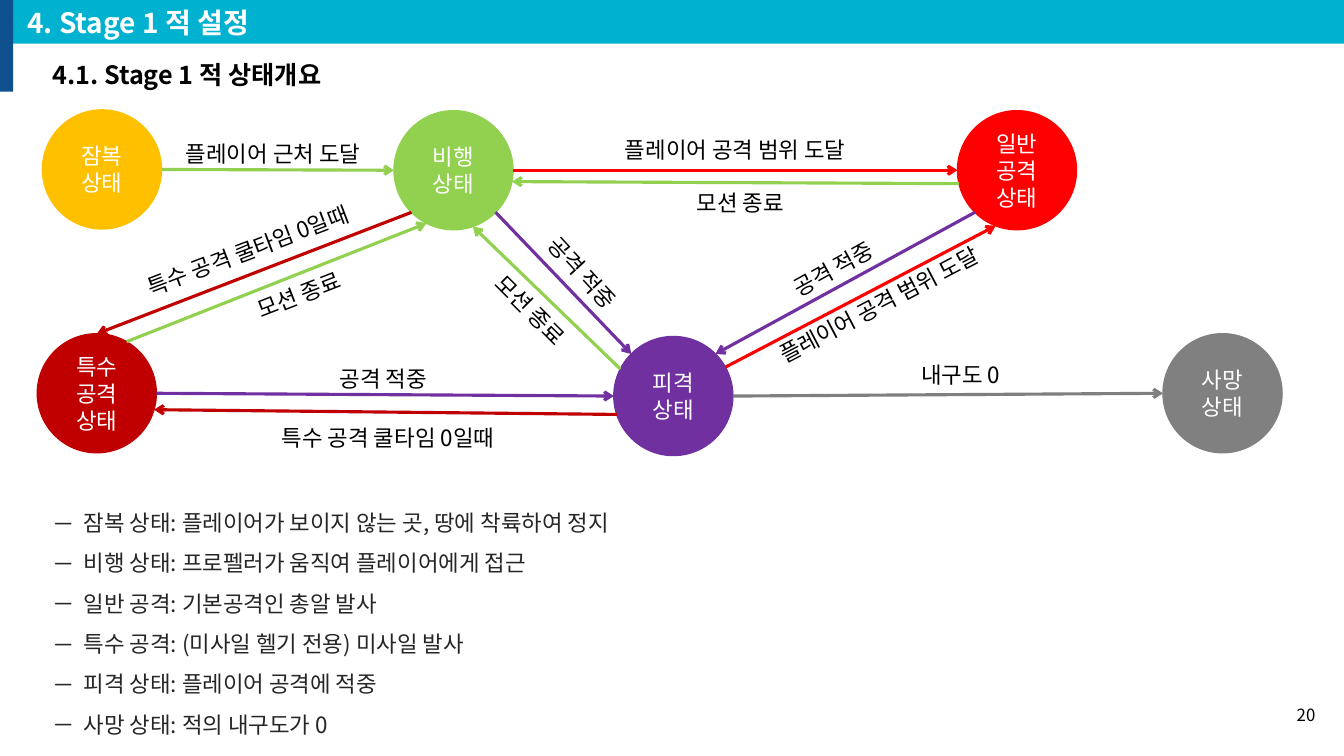
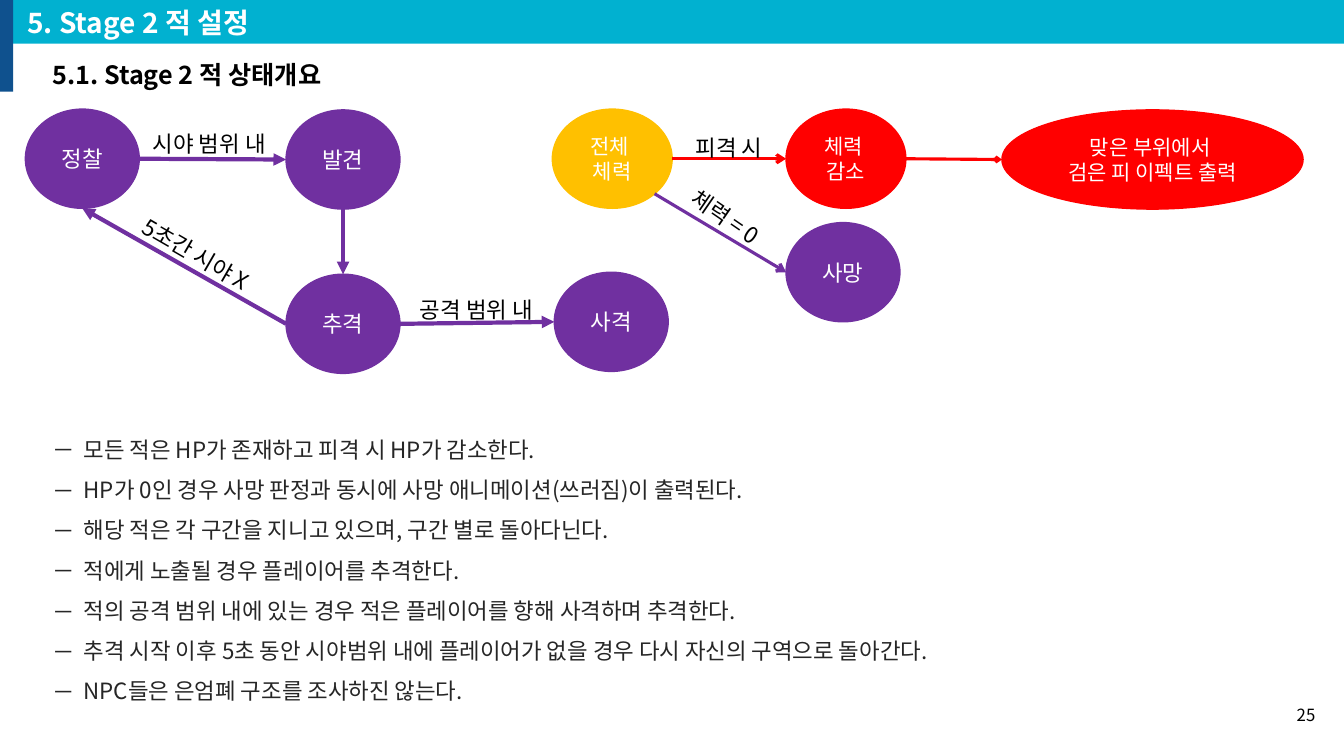
from math import cos, radians, sin

from lxml.etree import SubElement
from pptx import Presentation
from pptx.dml.color import RGBColor
from pptx.enum.shapes import MSO_CONNECTOR, MSO_SHAPE
from pptx.enum.text import MSO_ANCHOR, MSO_AUTO_SIZE, PP_ALIGN
from pptx.oxml.ns import qn
from pptx.util import Cm, Pt

FONT = "Noto Sans CJK KR"
COLORS = {
    "accent": "0F518E", "band": "01B1D0", "white": "FFFFFF", "black": "000000",
    "note": "262626", "yellow": "FFC000", "green": "92D050", "red": "FF0000",
    "crimson": "C00000", "purple": "7030A0", "gray": "808080", "gray line": "7F7F7F",
}
# Arrowhead type, arrowhead size, line width in points
ARROWS = {
    "open": ("arrow", "med", 2.25),
    "small": ("arrow", "sm", 2.25),
    "solid": ("triangle", "med", 3),
}

# Nodes: key: (left, top, width, height, colour, font size, paragraphs), in cm
# Edges: (from, angle, to, angle, colour, arrow), angles counter-clockwise from the right
# Labels: (text, left, top, width, rotation)
SLIDES = [
    {
        "title": "4. Stage 1 적 설정",
        "subtitle": "4.1. Stage 1 적 상태개요",
        "page": "20",
        "nodes": {
            "hide": (1.07, 2.77, 3, 3, "yellow", 16, ["잠복", "상태"]),
            "fly": (9.93, 2.79, 3, 3, "green", 16, ["비행", "상태"]),
            "special": (0.94, 8.41, 3, 3, "crimson", 16, ["특수 공격 상태"]),
            "dead": (29.31, 8.41, 3, 3, "gray", 16, ["사망", "상태"]),
            "attack": (24.13, 2.79, 3, 3, "red", 16, ["일반 공격", "상태"]),
            "hit": (15.47, 8.48, 3, 3, "purple", 16, ["피격", "상태"]),
        },
        "edges": [
            ("hide", 0, "fly", 180, "green", "open"),
            ("fly", 315, "hit", 135, "purple", "open"),
            ("fly", 0, "attack", 180, "red", "open"),
            ("fly", 225, "special", 90, "crimson", "open"),
            ("hit", 0, "dead", 180, "gray line", "open"),
            ("hit", 153, "fly", 289, "green", "open"),
            ("special", 60, "fly", 243, "green", "open"),
            ("attack", 193, "fly", 349, "green", "open"),
            ("attack", 225, "hit", 45, "purple", "open"),
            ("special", 0, "hit", 180, "purple", "open"),
            ("hit", 198, "special", 344, "crimson", "open"),
            ("hit", 29, "attack", 249, "red", "open"),
        ],
        "labels": [
            ("플레이어 근처 도달", 4.14, 3.4, 5.49, 0),
            ("공격 적중", 11.48, 6.4, 6.4, 47.4),
            ("플레이어 공격 범위 도달", 12.75, 3.3, 11.56, 0),
            ("특수 공격 쿨타임 0일때", 2.01, 5.84, 8.48, 339.2),
            ("내구도 0", 21.84, 8.97, 4.75, 0),
            ("모션 종료", 11, 7.34, 4.75, 45),
            ("모션 종료", 3.05, 6.96, 8.99, 338.7),
            ("모션 종료", 13.11, 4.65, 11.1, 0),
            ("공격 적중", 17.15, 6.3, 7.7, 331),
            ("공격 적중", 3.86, 9.07, 11.61, 0),
            ("특수 공격 쿨타임 0일때", 3.86, 10.57, 11.84, 0),
            ("플레이어 공격 범위 도달", 18.67, 7.21, 6.96, 332.3),
        ],
        "notes_box": (1.07, 12.37, 32.08, 6.27),
        "notes": [
            "잠복 상태: 플레이어가 보이지 않는 곳, 땅에 착륙하여 정지",
            "비행 상태: 프로펠러가 움직여 플레이어에게 접근",
            "일반 공격: 기본공격인 총알 발사",
            "특수 공격: (미사일 헬기 전용) 미사일 발사",
            "피격 상태: 플레이어 공격에 적중",
            "사망 상태: 적의 내구도가 0",
        ],
    },
    {
        "title": "5. Stage 2 적 설정",
        "subtitle": "5.1. Stage 2 적 상태개요",
        "page": "25",
        "nodes": {
            "health": (13.92, 2.75, 3.02, 2.5, "yellow", 15, ["전체 ", "체력"]),
            "dead": (19.81, 5.61, 2.87, 2.5, "purple", 16, ["사망"]),
            "damage": (19.81, 2.75, 3.02, 2.5, "red", 15, ["체력 ", "감소"]),
            "blood": (25.25, 2.77, 7.59, 2.5, "red", 15,
                      ["맞은 부위에서 ", "검은 피 이펙트 출력"]),
            "patrol": (0.64, 2.75, 2.87, 2.5, "purple", 16, ["정찰"]),
            "spot": (7.21, 2.77, 2.87, 2.5, "purple", 16, ["발견"]),
            "chase": (7.21, 6.91, 2.87, 2.5, "purple", 16, ["추격"]),
            "shoot": (13.97, 6.86, 2.87, 2.5, "purple", 16, ["사격"]),
        },
        "edges": [
            ("health", 0, "damage", 180, "red", "open"),
            ("health", 315, "dead", 180, "purple", "open"),
            ("damage", 0, "blood", 180, "red", "small"),
            ("patrol", 0, "spot", 180, "purple", "solid"),
            ("spot", 270, "chase", 90, "purple", "solid"),
            ("chase", 0, "shoot", 180, "purple", "solid"),
            ("chase", 180, "patrol", 270, "purple", "solid"),
        ],
        "labels": [
            ("체력 = 0", 16.43, 5, 3.71, 34.5),
            ("피격 시", 16.92, 3.25, 2.9, 0),
            ("시야 범위 내", 3.33, 3.15, 3.89, 0),
            ("공격 범위 내", 10.06, 7.34, 3.89, 0),
            ("5초간 시야 X", 2.84, 5.94, 4.19, 30),
        ],
        "notes_box": (1.07, 10.52, 31.52, 7.32),
        "notes": [
            "모든 적은 HP가 존재하고 피격 시 HP가 감소한다.",
            "HP가 0인 경우 사망 판정과 동시에 사망 애니메이션(쓰러짐)이 출력된다.",
            "해당 적은 각 구간을 지니고 있으며, 구간 별로 돌아다닌다.",
            "적에게 노출될 경우 플레이어를 추격한다.",
            "적의 공격 범위 내에 있는 경우 적은 플레이어를 향해 사격하며 추격한다.",
            "추격 시작 이후 5초 동안 시야범위 내에 플레이어가 없을 경우 다시 자신의 구역으로 돌아간다.",
            "NPC들은 은엄폐 구조를 조사하진 않는다.",
        ],
    },
]


def rgb(name):
    return RGBColor.from_string(COLORS[name])


def add_run(p, text, size, color, bold=False):
    r = p.add_run()
    r.text = text
    r.font.size = Pt(size)
    r.font.bold = bold
    r.font.color.rgb = rgb(color)
    r.font.name = FONT
    SubElement(r.font._element, qn("a:ea"), typeface=FONT)


def write(tf, lines, size, color, align=PP_ALIGN.LEFT, bold=False,
          anchor=MSO_ANCHOR.TOP, bullet=None):
    tf.word_wrap = True
    tf.auto_size = MSO_AUTO_SIZE.NONE
    tf.vertical_anchor = anchor
    for i, line in enumerate(lines):
        p = tf.paragraphs[0] if i == 0 else tf.add_paragraph()
        if bullet:
            pPr = p._p.get_or_add_pPr()
            pPr.set("marL", str(Cm(0.79)))
            pPr.set("indent", str(-Cm(0.79)))
            SubElement(pPr, qn("a:buFont"), typeface=FONT)
            SubElement(pPr, qn("a:buChar"), char=bullet)
            p.line_spacing = 1.5
        p.alignment = align
        add_run(p, line, size, color, bold)


def add_text(slide, box, lines, size, color, **style):
    sp = slide.shapes.add_textbox(*map(Cm, box))
    write(sp.text_frame, lines, size, color, **style)
    return sp


def add_filled(slide, preset, box, color):
    sp = slide.shapes.add_shape(preset, *map(Cm, box))
    sp.shadow.inherit = False
    sp.fill.solid()
    sp.fill.fore_color.rgb = rgb(color)
    sp.line.fill.background()
    return sp


def add_frame(slide, title, subtitle, page):
    """Side accent, title band, subtitle and page number."""
    add_filled(slide, MSO_SHAPE.RECTANGLE, (0, 0, 0.33, 2.31), "accent")
    band = slide.shapes.title
    band.left, band.top, band.width, band.height = map(Cm, (0.33, 0, 33.54, 1.1))
    band.fill.solid()
    band.fill.fore_color.rgb = rgb("band")
    write(band.text_frame, [title], 20, "white", bold=True, anchor=MSO_ANCHOR.MIDDLE)
    band.text_frame.paragraphs[0]._p.get_or_add_pPr().set("marL", str(Cm(0.1)))
    add_text(slide, (1.07, 1.37, 10.36, 1.02), [subtitle], 18, "black", bold=True)
    add_text(slide, (32.31, 17.5, 1.09, 1.02), [page], 12, "black",
             align=PP_ALIGN.RIGHT, anchor=MSO_ANCHOR.MIDDLE)


def add_node(slide, left, top, width, height, color, size, lines):
    sp = add_filled(slide, MSO_SHAPE.OVAL, (left, top, width, height), color)
    sp.line.color.rgb = rgb(color)
    sp.line.width = Pt(1)
    write(sp.text_frame, lines, size, "white", align=PP_ALIGN.CENTER,
          anchor=MSO_ANCHOR.MIDDLE)
    return sp


def rim_point(sp, angle):
    """Point on the outline of an ellipse."""
    a = radians(angle)
    return (round(sp.left + sp.width * (1 + cos(a)) / 2),
            round(sp.top + sp.height * (1 - sin(a)) / 2))


def add_edge(slide, start, start_angle, end, end_angle, color, arrow):
    head, size, width = ARROWS[arrow]
    line = slide.shapes.add_connector(
        MSO_CONNECTOR.STRAIGHT, *rim_point(start, start_angle), *rim_point(end, end_angle))
    line.line.color.rgb = rgb(color)
    line.line.width = Pt(width)
    SubElement(line.line._get_or_add_ln(), qn("a:tailEnd"), type=head, w=size, len=size)
    SubElement(line._element.spPr, qn("a:effectLst"))
    # An ellipse has eight connection sites, one every 45 degrees from the top
    joints = line._element.nvCxnSpPr.cNvCxnSpPr
    for tag, sp, angle in (("a:stCxn", start, start_angle), ("a:endCxn", end, end_angle)):
        if angle % 45 == 0:
            site = (angle - 90) // 45 % 8
            SubElement(joints, qn(tag), id=str(sp.shape_id), idx=str(site))


def build_slide(prs, data):
    slide = prs.slides.add_slide(prs.slide_layouts[5])
    add_frame(slide, data["title"], data["subtitle"], data["page"])
    add_text(slide, data["notes_box"], data["notes"], 16, "note", bullet="－")
    nodes = {key: add_node(slide, *node) for key, node in data["nodes"].items()}
    for start, start_angle, end, end_angle, color, arrow in data["edges"]:
        add_edge(slide, nodes[start], start_angle, nodes[end], end_angle, color, arrow)
    for text, left, top, width, rotation in data["labels"]:
        label = add_text(slide, (left, top, width, 0.94), [text], 16, "black",
                         align=PP_ALIGN.CENTER)
        label.rotation = rotation


def main():
    prs = Presentation()
    prs.slide_width, prs.slide_height = Cm(33.87), Cm(19.05)
    for data in SLIDES:
        build_slide(prs, data)
    prs.save("out.pptx")


if __name__ == "__main__":
    main()
